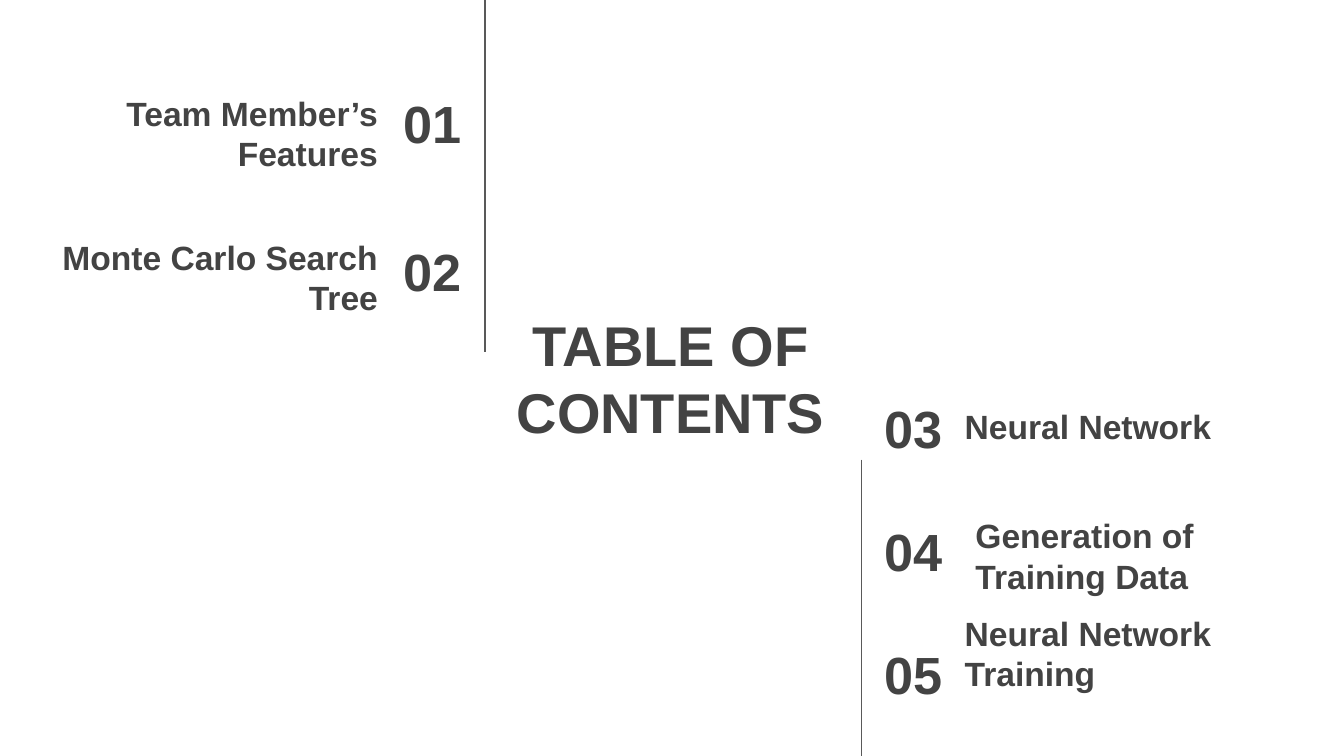
import pptx
import pptx.util
import pptx.dml.color
import pptx.enum.shapes
import pptx.enum.text
import pptx.oxml.ns
from lxml import etree

Inches = pptx.util.Inches
ALIGN = pptx.enum.text.PP_ALIGN
ANCHOR = pptx.enum.text.MSO_ANCHOR
COLOURS = {"background": "FFFFFF", "text": "434343", "rule": "595959"}
SLIDE_WIDTH = 10
SLIDE_HEIGHT = SLIDE_WIDTH * 9 / 16
ROW_HEIGHT = 0.63


def colour(name):
    """Return the named palette colour."""
    return pptx.dml.color.RGBColor.from_string(COLOURS[name])


def add_text(slide, text, box, size=18, align=ALIGN.LEFT, anchor=ANCHOR.MIDDLE):
    """Place bold text in a box of left, top, width and height."""
    frame = slide.shapes.add_textbox(*map(Inches, box)).text_frame
    frame.word_wrap = True
    frame.vertical_anchor = anchor
    frame.margin_left = frame.margin_right = Inches(0.1)
    frame.margin_top = frame.margin_bottom = Inches(0.1)
    paragraph = frame.paragraphs[0]
    paragraph.alignment = align
    run = paragraph.add_run()
    run.text = text
    run.font.name = "Arial"
    run.font.size = pptx.util.Pt(size)
    run.font.bold = True
    run.font.color.rgb = colour("text")


def add_rule(slide, x, top, bottom):
    """Draw a thin vertical rule."""
    rule = slide.shapes.add_connector(
        pptx.enum.shapes.MSO_CONNECTOR.STRAIGHT,
        Inches(x), Inches(top), Inches(x), Inches(bottom))
    rule.line.color.rgb = colour("rule")
    rule.line.width = pptx.util.Pt(0.75)
    properties = rule._element.find(pptx.oxml.ns.qn("p:spPr"))
    etree.SubElement(properties, pptx.oxml.ns.qn("a:effectLst"))


def add_entries(slide, box, entries, first, start, pitch, number_column, align):
    """List numbered entries, each a label with its left, drop and width."""
    left, top, _, _ = box
    number_left, number_width = number_column
    for index, (label, label_left, drop, label_width) in enumerate(entries):
        row_top = top + start + index * pitch
        add_text(slide, f"{first + index:02d}",
                 (left + number_left, row_top, number_width, ROW_HEIGHT),
                 size=28, align=align)
        add_text(slide, label,
                 (left + label_left, row_top + drop, label_width, ROW_HEIGHT),
                 align=align, anchor=ANCHOR.BOTTOM)


def add_left_region(slide, box):
    """Place the first entries to the left of their rule."""
    left, top, width, height = box
    entries = [("Team Member’s Features", 0.75, 0.16, 2.16),
               ("Monte Carlo Search Tree", 0.22, 0.13, 2.69)]
    add_entries(slide, box, entries, first=1, start=0.6, pitch=1.1,
                number_column=(2.32, 1.21), align=ALIGN.RIGHT)
    add_rule(slide, left + width, top, top + height)


def add_right_region(slide, box):
    """Place the last entries to the right of their rule."""
    left, top, _, height = box
    entries = [("Neural Network", 0.67, -0.08, 2.16),
               ("Generation of Training Data", 0.75, 0.12, 2.16),
               ("Neural Network Training", 0.67, -0.07, 2.16)]
    add_entries(slide, box, entries, first=3, start=-0.55, pitch=1.83 / 2,
                number_column=(0.07, 1.17), align=ALIGN.LEFT)
    add_rule(slide, left, top, top + height)


def add_contents_slide(deck):
    """Build the table of contents slide."""
    slide = deck.slides.add_slide(deck.slide_layouts[6])
    slide.background.fill.solid()
    slide.background.fill.fore_color.rgb = colour("background")
    add_text(slide, "TABLE OF CONTENTS", (3.51, 2.12, 2.96, 1.38),
             size=30, align=ALIGN.CENTER)
    add_left_region(slide, (0, 0, 3.61, 2.62))
    add_right_region(slide, (6.41, 3.42, SLIDE_WIDTH - 6.41, SLIDE_HEIGHT - 3.42))


def main():
    """Create and save the deck."""
    deck = pptx.Presentation()
    deck.slide_width = Inches(SLIDE_WIDTH)
    deck.slide_height = Inches(SLIDE_HEIGHT)
    add_contents_slide(deck)
    deck.save("out.pptx")


if __name__ == "__main__":
    main()
